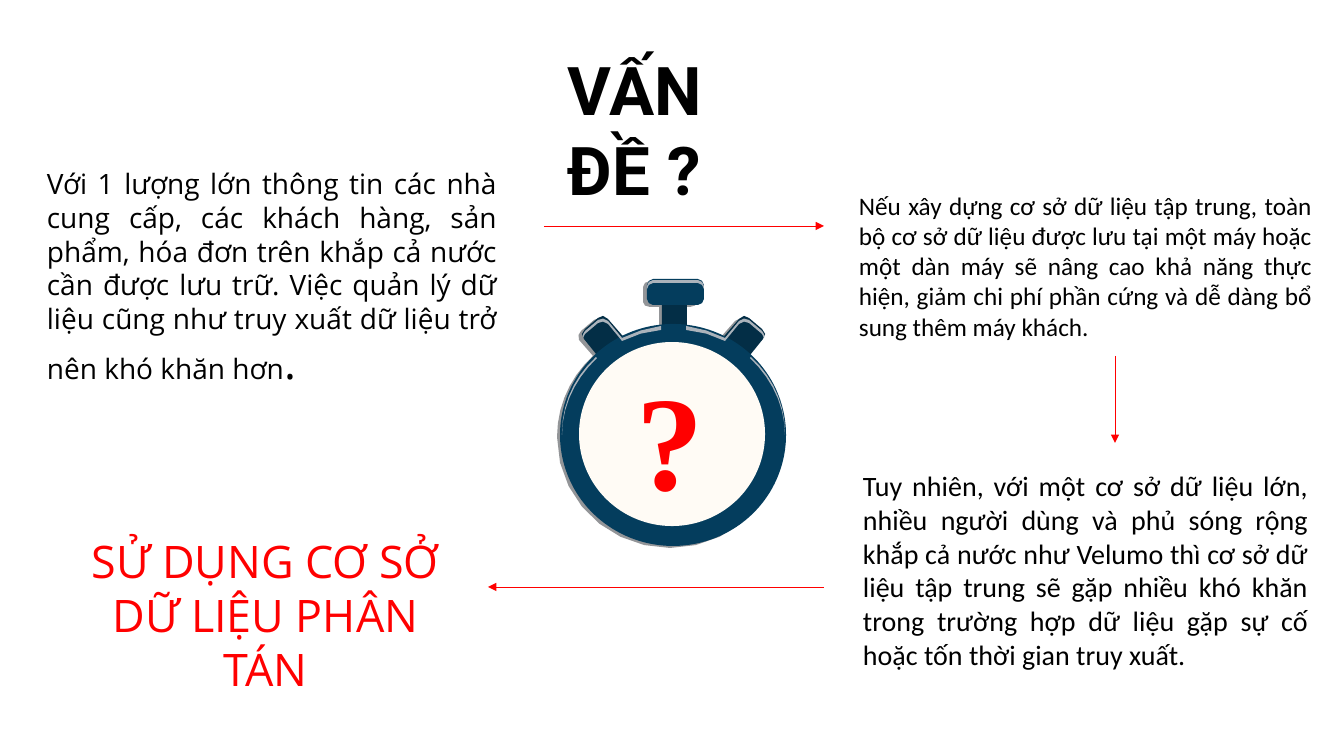
from lxml import etree
from pptx import Presentation, util as u
from pptx.dml.color import RGBColor
from pptx.enum import shapes, text
from pptx.oxml.ns import qn

PX = 914400 / 100.8
BLACK, RED, NAVY, DARK_NAVY = "000000", "FF0000", "043D5D", "032E46"
CREAM, SHADE, GLINT = "FFFBF5", "939598", "ABB3BB"
LEFT, CENTER, JUSTIFY = text.PP_ALIGN.LEFT, text.PP_ALIGN.CENTER, text.PP_ALIGN.JUSTIFY
TOP, MIDDLE = text.MSO_ANCHOR.TOP, text.MSO_ANCHOR.MIDDLE


def paint(part, color):
    """Give a shape a flat fill without line or shadow."""
    part.fill.solid()
    part.fill.fore_color.rgb = RGBColor.from_string(color)
    part.line.fill.background()
    part.shadow.inherit = False


def trace(steps):
    """Turn points and Bezier steps (six numbers) into a list of points."""
    points = []
    for step in steps:
        if len(step) == 2:
            points.append(step)
            continue
        (x0, y0), (x1, y1, x2, y2, x3, y3) = points[-1], step
        count = 7 if abs(x3 - x0) + abs(y3 - y0) > 80 else 2
        for i in range(1, count + 1):
            t = i / count
            a, b, c, d = (1 - t) ** 3, 3 * t * (1 - t) ** 2, 3 * t * t * (1 - t), t ** 3
            points.append((a * x0 + b * x1 + c * x2 + d * x3,
                           a * y0 + b * y1 + c * y2 + d * y3))
    return points


deck = Presentation()
deck.slide_width, deck.slide_height = u.Inches(13.333), u.Inches(7.5)
slide = deck.slides.add_slide(deck.slide_layouts[6])
stopwatch = slide.shapes.add_group_shape()

# Left halves of the stopwatch parts; each is mirrored about its own axis
shadow = [(650, 281), (646, 281, 643, 284, 643, 287), (643, 302),
          (643, 305, 646, 307, 650, 307), (659, 307), (659, 326),
          (645, 328, 632, 332, 620, 338), (605, 321), (599, 318), (594, 320),
          (581, 331), (578, 333, 578, 337, 579, 340), (593, 356),
          (571, 376, 557, 405, 557, 437), (557, 499, 608, 548, 670, 548)]
cap = [(653, 279), (650, 279, 647, 282, 647, 285), (647, 299),
       (647, 302, 650, 305, 653, 305)]
button = [(634, 349), (637, 352, 637, 357, 633, 360), (620, 371),
          (617, 373, 612, 373, 609, 370), (584, 339), (581, 336, 581, 332, 585, 329),
          (598, 318), (601, 315, 605, 315, 608, 319)]
button_glint = [(585, 334), (598, 323), (601, 321, 605, 321, 608, 324), (622, 341),
                (634, 335, 647, 331, 661, 330), (661, 326),
                (647, 328, 634, 332, 622, 338), (608, 321),
                (605, 318, 601, 318, 598, 320), (585, 331),
                (583, 333, 582, 336, 583, 338)]
rim_glint = [(597, 358), (596, 357), (575, 376, 562, 403, 562, 433), (562, 435),
             (562, 405, 576, 378, 597, 358)]
cap_glint = [(653, 283), (650, 283, 647, 286, 647, 289), (647, 286),
             (647, 283, 650, 280, 653, 280)]

RECT, OVAL = shapes.MSO_SHAPE.RECTANGLE, shapes.MSO_SHAPE.OVAL
# Outlines: (half, sum of mirrored x values, joined into one part, colour)
# Presets: (kind, left, top, width, height, colour)
stopwatch_parts = [
    (shadow, 1340, True, SHADE),
    (RECT, 662, 292, 25, 39, DARK_NAVY),
    (cap, 1351, True, NAVY),
    (button, 1347, False, DARK_NAVY),
    (OVAL, 560, 324, 226, 222, NAVY),
    (OVAL, 579, 342, 186, 184, CREAM),
    (button_glint, 1347, False, GLINT),
    (rim_glint, 1347, False, GLINT),
    (cap_glint, 1351, True, GLINT),
]
for part in stopwatch_parts:
    if len(part) == 6:
        kind, *box, color = part
        paint(stopwatch.shapes.add_shape(kind, *[round(n * PX) for n in box]), color)
        continue
    half, axis, joined, color = part
    left_side = trace(half)
    right_side = [(axis - x, y) for x, y in reversed(left_side)]
    outlines = [left_side + right_side] if joined else [left_side, right_side]
    for outline in outlines:
        (start_x, start_y), *rest = [(x * PX, y * PX) for x, y in outline]
        pen = stopwatch.shapes.build_freeform(start_x, start_y, scale=1.0)
        pen.add_line_segments(rest, close=True)
        paint(pen.convert_to_shape(), color)

supply = ("Với 1 lượng lớn thông tin các nhà cung cấp, các khách hàng, sản phẩm, hóa đơn "
          "trên khắp cả nước cần được lưu trữ. Việc quản lý dữ liệu cũng như truy xuất "
          "dữ liệu trở nên khó khăn hơn")
central = ("Nếu xây dựng cơ sở dữ liệu tập trung, toàn bộ cơ sở dữ liệu được lưu tại một "
           "máy hoặc một dàn máy sẽ nâng cao khả năng thực hiện, giảm chi phí phần cứng "
           "và dễ dàng bổ sung thêm máy khách.")
drawback = ("Tuy nhiên, với một cơ sở dữ liệu lớn, nhiều người dùng và phủ sóng rộng khắp "
            "cả nước như Velumo thì cơ sở dữ liệu tập trung sẽ gặp nhiều khó khăn trong "
            "trường hợp dữ liệu gặp sự cố hoặc tốn thời gian truy xuất.")

# Box, right inset, alignment, anchor, font, colour, bold, runs with their sizes
passages = [
    ((558, 43, 296, 92), 90, LEFT, TOP, "Roboto", BLACK, True, [("VẤN ĐỀ ?", 48)]),
    ((37, 162, 470, 234), 10, JUSTIFY, TOP, "Open Sans", BLACK, False,
     [(supply, 20), (".", 32)]),
    ((849, 185, 473, 194), 10, JUSTIFY, TOP, "Calibri", BLACK, False, [(central, 18)]),
    ((853, 464, 465, 248), 10, JUSTIFY, TOP, "Calibri", BLACK, False, [(drawback, 20)]),
    ((517, 341, 306, 191), 10, CENTER, MIDDLE, "Times New Roman", RED, True, [("?", 96)]),
    ((58, 529, 415, 119), 10, CENTER, TOP, "Open Sans", RED, False,
     [("SỬ DỤNG CƠ SỞ DỮ LIỆU PHÂN TÁN", 32)]),
]
for box, inset, align, anchor, font, color, bold, runs in passages:
    frame = slide.shapes.add_textbox(*[round(n * PX) for n in box]).text_frame
    layout = {"word_wrap": True, "vertical_anchor": anchor, "margin_right": round(inset * PX)}
    for key, value in layout.items():
        setattr(frame, key, value)
    paragraph = frame.paragraphs[0]
    paragraph.alignment = align
    for words, size in runs:
        run = paragraph.add_run()
        run.text = words
        run.font.color.rgb = RGBColor.from_string(color)
        for key, value in {"name": font, "size": u.Pt(size), "bold": bold}.items():
            setattr(run.font, key, value)

flow = [(544, 226, 824, 226), (1115, 356, 1115, 443), (824, 587, 488, 587)]
for ends in flow:
    arrow = slide.shapes.add_connector(shapes.MSO_CONNECTOR.STRAIGHT,
                                       *[round(n * PX) for n in ends])
    arrow.line.color.rgb = RGBColor.from_string(RED)
    arrow.line.width = u.Pt(0.5)
    etree.SubElement(arrow.line._get_or_add_ln(), qn("a:tailEnd"), type="triangle")
    etree.SubElement(arrow._element.spPr, qn("a:effectLst"))

deck.save("out.pptx")
